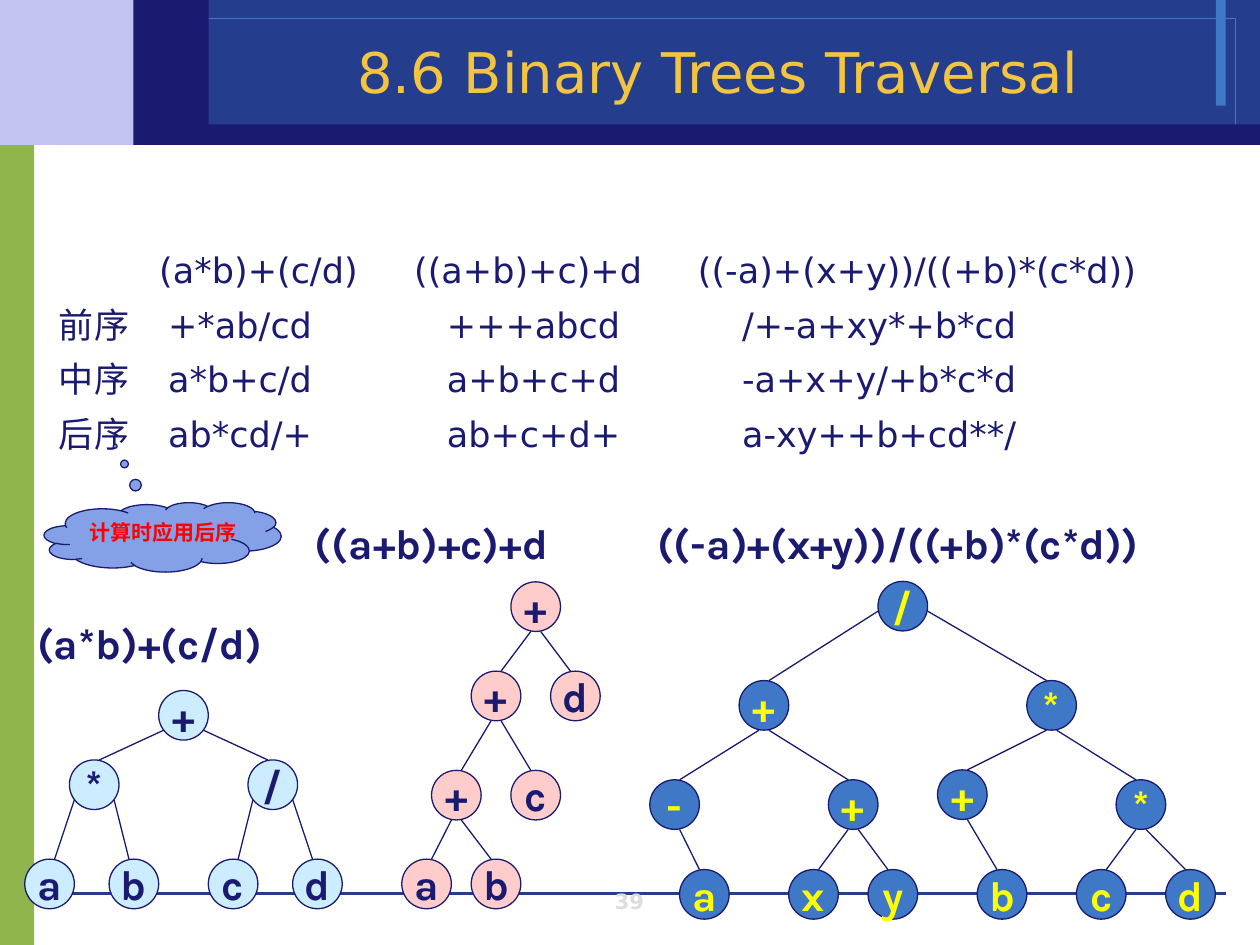
import pptx
import pptx.dml.color
import pptx.enum.shapes
import pptx.enum.text
import pptx.oxml.ns
import pptx.util
from lxml import etree

Cm = pptx.util.Cm
Pt = pptx.util.Pt
SHAPE = pptx.enum.shapes.MSO_SHAPE
ALIGN = pptx.enum.text.PP_ALIGN
ANCHOR = pptx.enum.text.MSO_ANCHOR
qn = pptx.oxml.ns.qn

COLORS = {
    "navy": "1A1A70",
    "blue": "243D8C",
    "accent": "3E78C6",
    "lavender": "C3C3F1",
    "green": "90B54D",
    "gold": "F3C43F",
    "grey": "DDDDDD",
    "cloud": "84A1E8",
    "red": "FF0000",
    "yellow": "FFFF00",
    "pale": "CCECFF",
    "pink": "FFCCCC",
}
NODE_SIZE = 1.0
LEFT, RIGHT = 0, 1
ENTRY = (0.6, 0.4)
NARROW_EXIT = ((0.4, 1.0), (0.6, 1.0))
WIDE_EXIT = ((0.1, 0.8), (0.9, 0.8))
SIDE_EXIT = ((0, 0.6), (1.0, 0.6))

PRODUCT_TREE = (
    "+", 3.2, 13.92,
    ("*", 1.4, 15.32, ("a", 0.5, 17.32), ("b", 2.2, 17.32)),
    ("/", 5.0, 15.32, ("c", 4.2, 17.32), ("d", 5.9, 17.32)),
)
SUM_TREE = (
    "+", 10.3, 11.73,
    ("+", 9.5, 13.53,
     ("+", 8.7, 15.53, ("a", 8.1, 17.32), ("b", 9.5, 17.32)),
     ("c", 10.3, 15.53)),
    ("d", 11.1, 13.53),
)
QUOTIENT_TREE = (
    "/", 17.7, 11.72,
    ("+", 14.9, 13.72,
     ("-", 13.1, 15.72, None, ("a", 13.7, 17.53)),
     ("+", 16.7, 15.72, ("x", 15.9, 17.53), ("y", 17.5, 17.53))),
    ("*", 20.7, 13.72,
     ("+", 18.9, 15.52, None, ("b", 19.7, 17.53)),
     ("*", 22.5, 15.72, ("c", 21.7, 17.53), ("d", 23.5, 17.53))),
)
HEADER_TABS = (2.02, 7.16, 12.88)
ROW_TABS = (2.2, 7.82, 13.77)
ORDERS = (
    ("\t(a*b)+(c/d)\t((a+b)+c)+d\t((-a)+(x+y))/((+b)*(c*d))", HEADER_TABS),
    ("前序\t+*ab/cd\t+++abcd\t/+-a+xy*+b*cd", ROW_TABS),
    ("中序\ta*b+c/d\ta+b+c+d\t-a+x+y/+b*c*d", ROW_TABS),
    ("后序\tab*cd/+\tab+c+d+\ta-xy++b+cd**/", ROW_TABS),
)


def rgb(name):
    return pptx.dml.color.RGBColor.from_string(COLORS[name])


def set_text(para, text, size, font, color, bold=False, align=ALIGN.LEFT):
    para.add_run().text = text
    para.alignment = align
    para.font.size = Pt(size)
    para.font.name = font
    para.font.bold = bold
    para.font.color.rgb = rgb(color)


def add_box(shapes, place, text=None, anchor=ANCHOR.TOP, **style):
    box = shapes.add_textbox(*map(Cm, place))
    box.text_frame.word_wrap = True
    box.text_frame.vertical_anchor = anchor
    if text:
        set_text(box.text_frame.paragraphs[0], text, **style)
    return box


def add_figure(shapes, kind, place, fill=None, line=None, width=0.75):
    figure = shapes.add_shape(kind, *map(Cm, place))
    figure.shadow.inherit = False
    if fill:
        figure.fill.solid()
        figure.fill.fore_color.rgb = rgb(fill)
    else:
        figure.fill.background()
    if line:
        figure.line.color.rgb = rgb(line)
        figure.line.width = Pt(width)
    else:
        figure.line.fill.background()
    return figure


def add_line(shapes, start, end, color="navy", width=0.75):
    line = shapes.add_connector(
        pptx.enum.shapes.MSO_CONNECTOR.STRAIGHT, *map(Cm, (*start, *end)))
    line.line.color.rgb = rgb(color)
    line.line.width = Pt(width)
    etree.SubElement(line._element.spPr, qn("a:effectLst"))


def add_frame(page):
    shapes = page.shapes
    add_figure(shapes, SHAPE.RECTANGLE, (0, 2.72, 0.69, 16.33), "green")
    add_figure(shapes, SHAPE.RECTANGLE, (0, 0, 3.89, 2.92), "lavender")
    add_figure(shapes, SHAPE.RECTANGLE, (3.89, 0, 21.51, 2.92), "blue")
    add_figure(shapes, SHAPE.RECTANGLE, (24.51, 0, 0.2, 2.13), "accent")
    add_figure(shapes, SHAPE.RECTANGLE, (3.02, 0.38, 21.89, 2.16),
               line="accent", width=0)
    add_line(shapes, (1.3, 18.01), (24.71, 18.01), "blue", 0)
    add_figure(shapes, SHAPE.RECTANGLE, (3.3, 2.51, 22.1, 0.41), "navy")
    add_figure(shapes, SHAPE.RECTANGLE, (2.69, 0, 1.52, 2.92), "navy")


def set_tabs(para, stops):
    tabs = etree.SubElement(para._p.get_or_add_pPr(), qn("a:tabLst"))
    for stop in stops:
        etree.SubElement(tabs, qn("a:tab"), pos=str(int(Cm(stop))), algn="l")


def add_orders(page):
    frame = add_box(page.shapes, (0.94, 4.8, 24.46, 4.5)).text_frame
    for index, (text, stops) in enumerate(ORDERS):
        para = frame.add_paragraph() if index else frame.paragraphs[0]
        set_tabs(para, stops)
        para.line_spacing = 1.1
        para.space_before = Pt(4.8)
        set_text(para, text, 20, "DejaVu Sans", "navy")


def add_node(shapes, node, fill, color, exits, root_exits=None):
    label, left, top, *children = node
    for side, child in enumerate(children):
        if child:
            across, down = (root_exits or exits)[side]
            add_line(shapes, (child[1] + ENTRY[side], child[2]),
                     (left + across, top + down))
            add_node(shapes, child, fill, color, exits)
    circle = add_figure(shapes, SHAPE.OVAL, (left, top, NODE_SIZE, NODE_SIZE),
                        fill, "navy")
    circle.text_frame.word_wrap = False
    circle.text_frame.vertical_anchor = ANCHOR.MIDDLE
    set_text(circle.text_frame.paragraphs[0], label, 24, "Karla", color,
             True, ALIGN.CENTER)


def add_tree(page, caption, place, root, fill, color, exits, root_exits=None):
    shapes = page.shapes.add_group_shape().shapes
    add_node(shapes, root, fill, color, exits, root_exits)
    add_box(shapes, place, caption, size=24, font="Karla", color="navy",
            bold=True)


def add_thought(page):
    cloud = add_figure(page.shapes, SHAPE.CLOUD_CALLOUT,
                       (0.89, 10.13, 4.78, 1.4), "cloud", "navy")
    cloud.adjustments[0] = -0.2
    cloud.adjustments[1] = -1.31
    cloud.text_frame.word_wrap = False
    cloud.text_frame.vertical_anchor = ANCHOR.TOP
    set_text(cloud.text_frame.paragraphs[0], "计算时应用后序", 12,
             "Times New Roman", "red", True)


def main():
    deck = pptx.Presentation()
    deck.slide_width = Cm(25.4)
    deck.slide_height = Cm(19.05)
    page = deck.slides.add_slide(deck.slide_layouts[6])
    add_frame(page)
    add_box(page.shapes, (9.73, 17.91, 5.92, 0.64), "39", ANCHOR.BOTTOM,
            size=12, font="DejaVu Sans", color="grey", bold=True,
            align=ALIGN.CENTER)
    add_box(page.shapes, (3.56, 0.66, 21.84, 1.57),
            "8.6 Binary Trees Traversal", ANCHOR.BOTTOM, size=32,
            font="DejaVu Sans", color="gold", align=ALIGN.CENTER)
    add_orders(page)
    add_tree(page, "(a*b)+(c/d)", (0.5, 12.32, 5.9, 1.27),
             PRODUCT_TREE, "pale", "navy", WIDE_EXIT)
    add_tree(page, "((a+b)+c)+d", (6.1, 10.31, 6.3, 1.27),
             SUM_TREE, "pink", "navy", NARROW_EXIT)
    add_tree(page, "((-a)+(x+y))/((+b)*(c*d))", (13, 10.31, 12.4, 1.27),
             QUOTIENT_TREE, "accent", "yellow", NARROW_EXIT, SIDE_EXIT)
    add_thought(page)
    deck.save("out.pptx")


if __name__ == "__main__":
    main()
